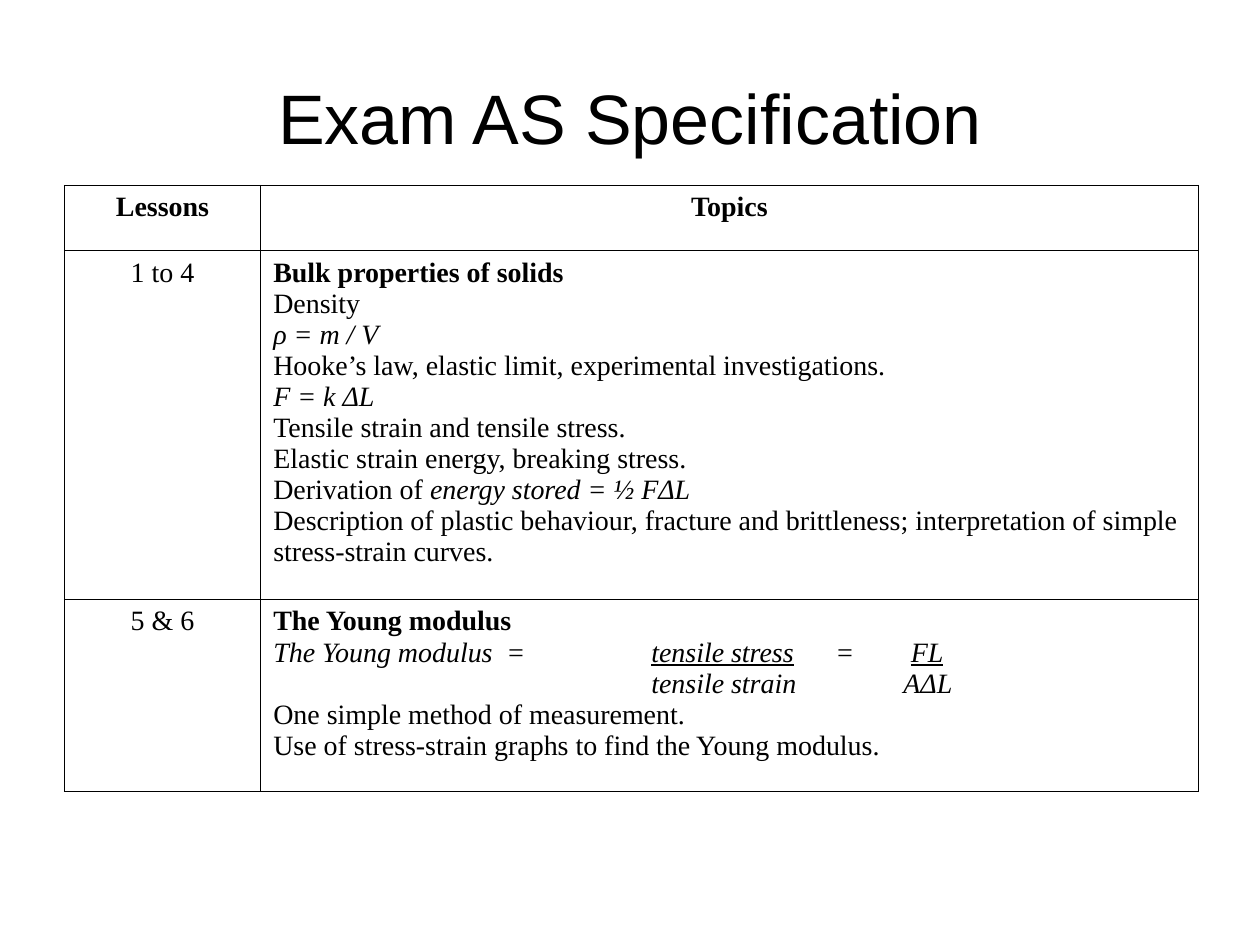
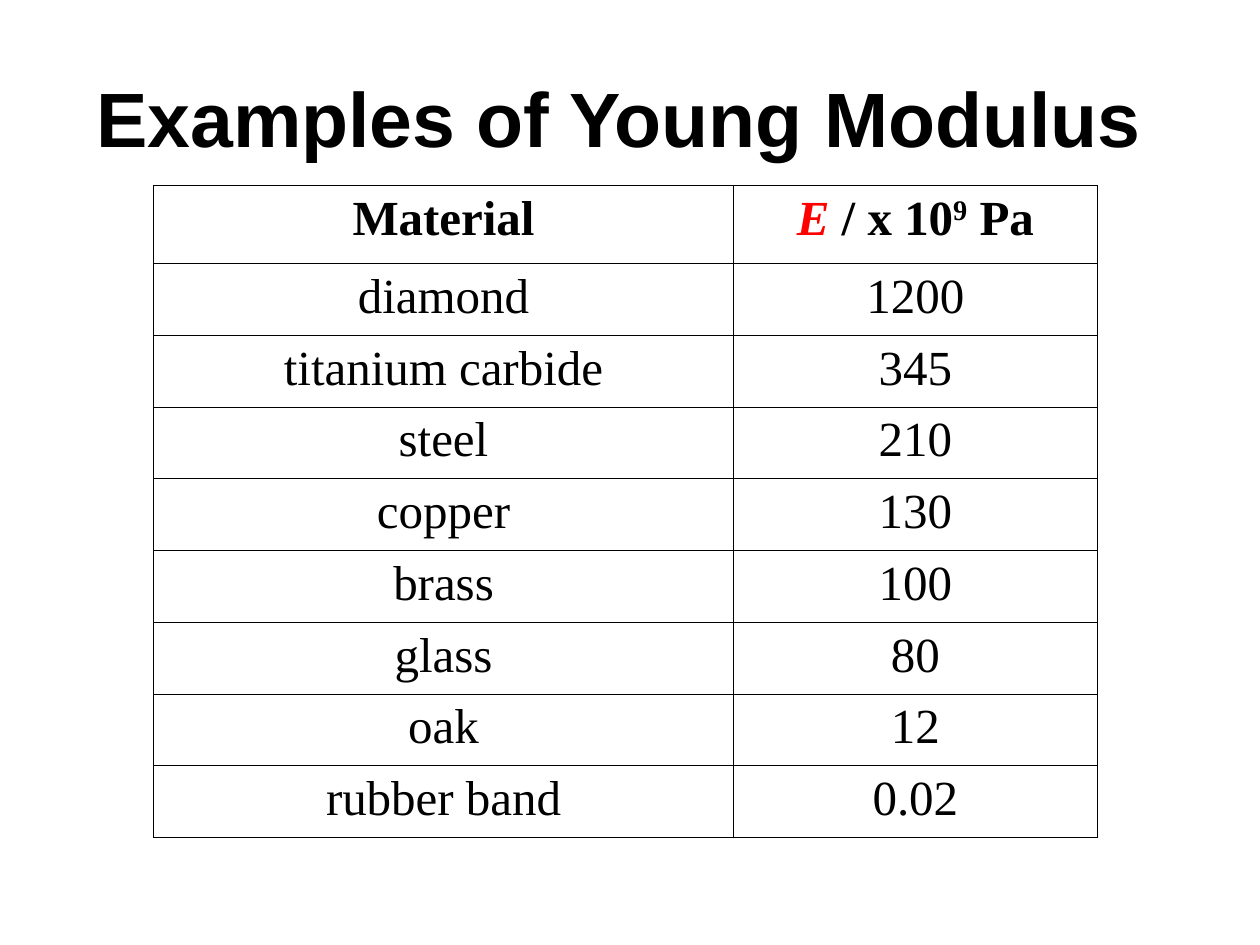
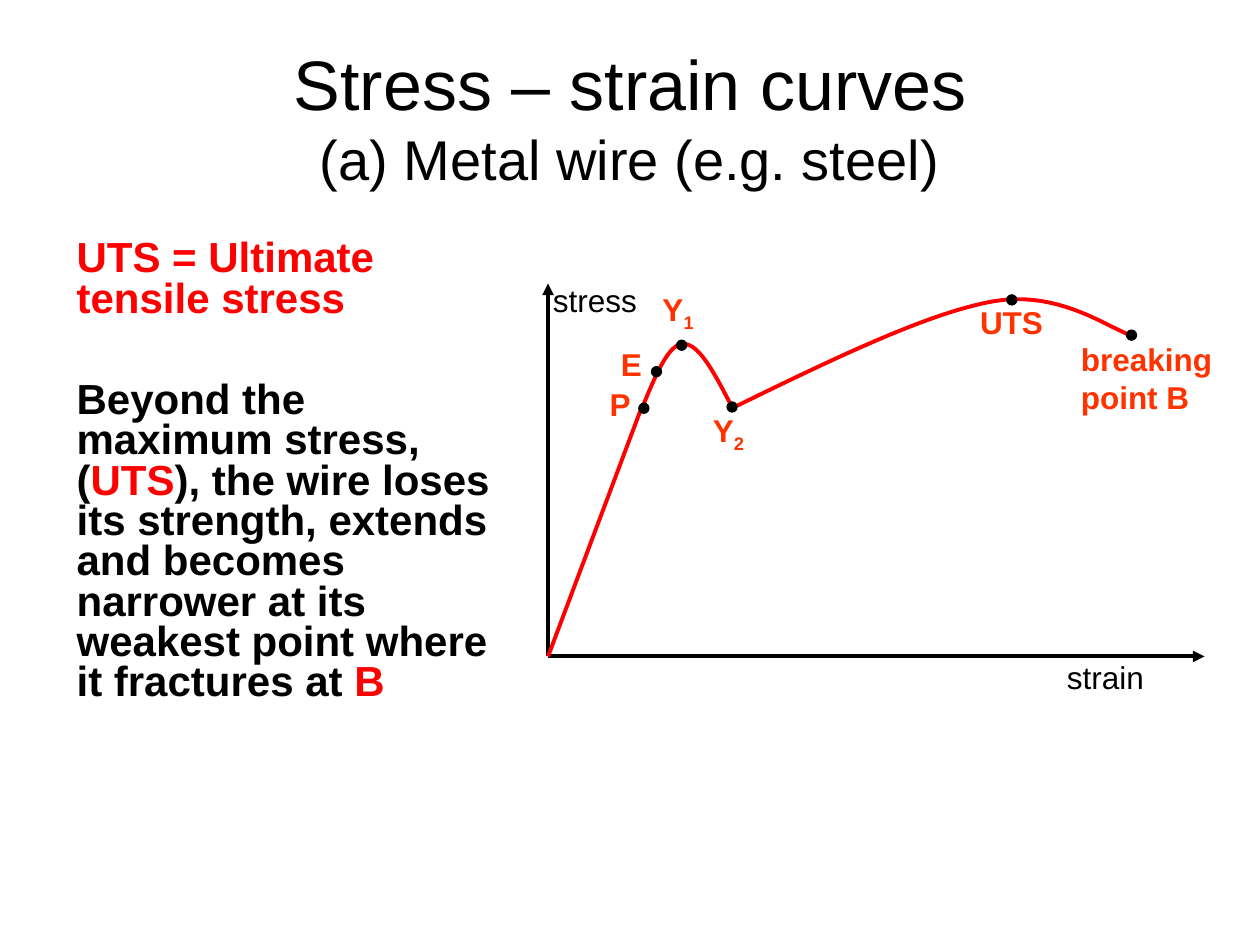
from lxml.etree import SubElement
from pptx import Presentation
from pptx.dml.color import RGBColor
from pptx.enum.shapes import MSO_CONNECTOR as Connector, MSO_SHAPE as Shape
from pptx.enum.text import MSO_ANCHOR as Anchor, MSO_AUTO_SIZE as AutoSize, PP_ALIGN as Align
from pptx.oxml.ns import qn
from pptx.util import Inches, Pt

BLACK = "000000"
RED = "FF0000"
ORANGE = "FF3300"
SANS = "Arial"
SERIF = "Times New Roman"
BOLD = {"bold": True}
ITALIC = {"italic": True}
UNDERLINED = {"italic": True, "underline": True}
LABEL = {"size": 18}
POINT_LABEL = {"size": 18, "bold": True, "colour": ORANGE}
SUBSCRIPT = {"baseline": -25}

TOPIC_ROWS = [
    ("1 to 4", [
        [("Bulk properties of solids", BOLD)],
        [("Density", {})],
        [("ρ = m / V", ITALIC)],
        [("Hooke’s law, elastic limit, experimental investigations.", {})],
        [("F = k ΔL", ITALIC)],
        [("Tensile strain and tensile stress.", {})],
        [("Elastic strain energy, breaking stress.", {})],
        [("Derivation of ", {}), ("energy stored = ½ FΔL", ITALIC)],
        [("Description of plastic behaviour, fracture and brittleness; "
          "interpretation of simple stress-strain curves.", {})],
    ]),
    ("5 & 6", [
        [("The Young modulus", BOLD)],
        [("The Young modulus\t=\t", ITALIC), ("tensile stress", UNDERLINED),
         ("\t=\t", ITALIC), ("FL", UNDERLINED)],
        [("\ttensile strain\tAΔL", ITALIC)],
        [("One simple method of measurement.", {})],
        [("Use of stress-strain graphs to find the Young modulus.", {})],
    ]),
]
MODULI = [
    ("diamond", "1200"), ("titanium carbide", "345"), ("steel", "210"),
    ("copper", "130"), ("brass", "100"), ("glass", "80"), ("oak", "12"),
    ("rubber band", "0.02"),
]
ORIGIN = (4.35, 5.21)
YIELD_CURVE = [
    ((5.08, 3.28), (5.19, 3.01), (5.30, 2.73), (5.42, 2.73)),
    ((5.42, 2.73), (5.55, 2.72), (5.68, 2.98), (5.82, 3.25)),
]
PLASTIC_CURVE = [
    ((5.85, 3.22), (6.61, 2.85), (7.37, 2.48), (7.89, 2.39)),
    ((7.89, 2.39), (8.42, 2.30), (8.82, 2.62), (9.00, 2.67)),
]
POINTS = [(5.11, 3.24), (5.41, 2.74), (5.21, 2.95), (5.81, 3.23), (8.03, 2.38), (8.98, 2.66)]
POINT_LABELS = [
    ((5.16, 2.25, 0.56, 0.45), [("Y", {}), ("1", SUBSCRIPT)]),
    ((4.74, 3.01, 0.49, 0.45), [("P", {})]),
    ((4.83, 2.69, 0.44, 0.47), [("E", {})]),
    ((7.68, 2.36, 0.86, 0.50), [("UTS", {})]),
    ((8.48, 2.65, 1.25, 0.76), [("breaking point B", {})]),
    ((5.56, 3.21, 0.56, 0.45), [("Y", {}), ("2", SUBSCRIPT)]),
]
AXIS_LABELS = [
    ((4.29, 2.18, 0.94, 0.47), [("stress", {})]),
    ((8.37, 5.17, 0.94, 0.47), [("strain", {})]),
]


def rgb(colour):
    return RGBColor.from_string(colour)


def place(shape, at):
    shape.left, shape.top, shape.width, shape.height = [Inches(value) for value in at]


def format_span(span, size, font=SANS, colour=BLACK, bold=False, italic=False,
                underline=False, baseline=0):
    span.font.name = font
    span.font.size = Pt(size)
    span.font.color.rgb = rgb(colour)
    span.font.bold = bold
    span.font.italic = italic
    span.font.underline = underline
    if baseline:
        span._r.get_or_add_rPr().set("baseline", str(baseline * 1000))


def write_text(frame, paragraphs, style, align=Align.LEFT):
    frame.text = "\n".join("" for _ in paragraphs)
    for para, spans in zip(frame.paragraphs, paragraphs):
        para.alignment = align
        for text, changes in spans:
            span = para.add_run()
            span.text = text
            format_span(span, **{**style, **changes})


def set_tabs(para, positions):
    tab_list = SubElement(para._p.get_or_add_pPr(), qn("a:tabLst"))
    for position in positions:
        SubElement(tab_list, qn("a:tab"), pos=str(Inches(position)), algn="l")


def add_page(deck, title, sizes, bold=False):
    page = deck.slides.add_slide(deck.slide_layouts[5])
    box = page.shapes.title
    place(box, (0.5, 0.3, 9, 1.25))
    frame = box.text_frame
    frame.auto_size = AutoSize.NONE
    frame.vertical_anchor = Anchor.MIDDLE
    para = frame.paragraphs[0]
    para.text = title
    para.alignment = Align.CENTER
    for span, size in zip(para.runs, sizes):
        format_span(span, size, bold=bold)
    return page


def outline_cell(cell):
    properties = cell._tc.get_or_add_tcPr()
    for side in ("a:lnL", "a:lnR", "a:lnT", "a:lnB"):
        border = SubElement(properties, qn(side), w=str(Pt(0.45)))
        fill = SubElement(border, qn("a:solidFill"))
        SubElement(fill, qn("a:srgbClr"), val=BLACK)
    cell.fill.background()


def add_grid(page, left, top, widths, heights):
    frame = page.shapes.add_table(
        len(heights), len(widths), Inches(left), Inches(top),
        Inches(sum(widths)), Inches(sum(heights)))
    table = frame.table
    table.first_row = table.horz_banding = False
    for column, width in zip(table.columns, widths):
        column.width = Inches(width)
    for row, height in zip(table.rows, heights):
        row.height = Inches(height)
    for cell in table.iter_cells():
        outline_cell(cell)
    return table


def add_text(shapes, at, paragraphs, style):
    box = shapes.add_textbox(*[Inches(value) for value in at])
    box.text_frame.word_wrap = True
    write_text(box.text_frame, paragraphs, style)
    return box


def add_line(shapes, start, end, colour, arrow=False):
    connector = shapes.add_connector(
        Connector.STRAIGHT, *[Inches(value) for value in start + end])
    connector.line.color.rgb = rgb(colour)
    connector.line.width = Pt(2.25)
    if arrow:
        SubElement(connector.line._get_or_add_ln(), qn("a:tailEnd"), type="triangle")
    SubElement(connector._element.spPr, qn("a:effectLst"))


def bezier_point(controls, t):
    weights = ((1 - t) ** 3, 3 * t * (1 - t) ** 2, 3 * t ** 2 * (1 - t), t ** 3)
    return tuple(
        Inches(sum(weight * control[axis] for weight, control in zip(weights, controls)))
        for axis in (0, 1))


def add_curve(shapes, segments, steps=20):
    points = [bezier_point(controls, step / steps)
              for controls in segments for step in range(1, steps + 1)]
    builder = shapes.build_freeform(*bezier_point(segments[0], 0))
    builder.add_line_segments(points, close=False)
    curve = builder.convert_to_shape()
    curve.shadow.inherit = False
    curve.fill.background()
    curve.line.color.rgb = rgb(RED)
    curve.line.width = Pt(2.25)


def add_dot(shapes, x, y, size=0.08):
    dot = shapes.add_shape(Shape.OVAL, Inches(x - size / 2), Inches(y - size / 2),
                           Inches(size), Inches(size))
    dot.shadow.inherit = False
    dot.fill.solid()
    dot.fill.fore_color.rgb = rgb(BLACK)
    dot.line.color.rgb = rgb(BLACK)
    dot.line.width = Pt(0.75)


def add_specification(deck):
    page = add_page(deck, "Exam AS Specification", [40])
    table = add_grid(page, 0.51, 1.47, [1.56, 7.44], [0.52, 2.77, 1.52])
    style = {"font": SERIF, "size": 16}
    for column, heading in enumerate(("Lessons", "Topics")):
        write_text(table.cell(0, column).text_frame, [[(heading, BOLD)]], style, Align.CENTER)
    for row, (lessons, topics) in enumerate(TOPIC_ROWS, 1):
        write_text(table.cell(row, 0).text_frame, [[(lessons, {})]], style, Align.CENTER)
        write_text(table.cell(row, 1).text_frame, topics, style)
    equation = table.cell(2, 1).text_frame.paragraphs
    set_tabs(equation[1], [1.85, 3, 4.46, 5.06])
    set_tabs(equation[2], [3, 5])


def add_moduli(deck):
    page = add_page(deck, "Examples of Young Modulus ", [44], bold=True)
    table = add_grid(page, 1.22, 1.47, [4.6, 2.89], [0.62] + [0.57] * len(MODULI))
    style = {"font": SERIF, "size": 28}
    unit = [("E", {"colour": RED, "bold": True, "italic": True}), (" / x 10", BOLD),
            ("9", {"bold": True, "baseline": 30}), (" Pa", BOLD)]
    rows = [([("Material", BOLD)], unit)]
    rows += [([(material, {})], [(modulus, {})]) for material, modulus in MODULI]
    for row, cells in enumerate(rows):
        for column, spans in enumerate(cells):
            write_text(table.cell(row, column).text_frame, [spans], style, Align.CENTER)


def add_stress_diagram(page):
    shapes = page.shapes.add_group_shape().shapes
    add_line(shapes, ORIGIN, (4.35, 2.25), BLACK, arrow=True)
    add_line(shapes, ORIGIN, (9.56, 5.21), BLACK, arrow=True)
    add_line(shapes, ORIGIN, (5.09, 3.24), RED)
    add_curve(shapes, YIELD_CURVE)
    add_curve(shapes, PLASTIC_CURVE)
    for x, y in POINTS:
        add_dot(shapes, x, y)
    for labels, style in ((POINT_LABELS, POINT_LABEL), (AXIS_LABELS, LABEL)):
        for at, spans in labels:
            add_text(shapes, at, [spans], style)


def add_stress_curves(deck):
    page = add_page(deck, "Stress – strain curves\v(a) Metal wire (e.g. steel)", [40, 32])
    red = {"colour": RED}
    box = add_text(page.shapes, (0.51, 1.86, 3.62, 3.94), [
        [("UTS = Ultimate tensile stress", red)],
        [("Beyond the maximum stress, (", {}), ("UTS", red),
         ("), the wire loses its strength, extends and becomes narrower "
          "at its weakest point where it fractures at ", {}), ("B", red)],
    ], {"size": 24, "bold": True})
    for para, gap in zip(box.text_frame.paragraphs, (6, 35)):
        para.line_spacing = 0.8
        para.space_before = Pt(gap)
    add_stress_diagram(page)


def main():
    deck = Presentation()
    deck.slide_width = Inches(10)
    deck.slide_height = Inches(7.5)
    title_style = deck.slide_master.element.find(".//" + qn("p:titleStyle"))
    title_style.find(".//" + qn("a:defRPr")).set("sz", "4000")
    add_specification(deck)
    add_moduli(deck)
    add_stress_curves(deck)
    deck.save("out.pptx")


if __name__ == "__main__":
    main()
